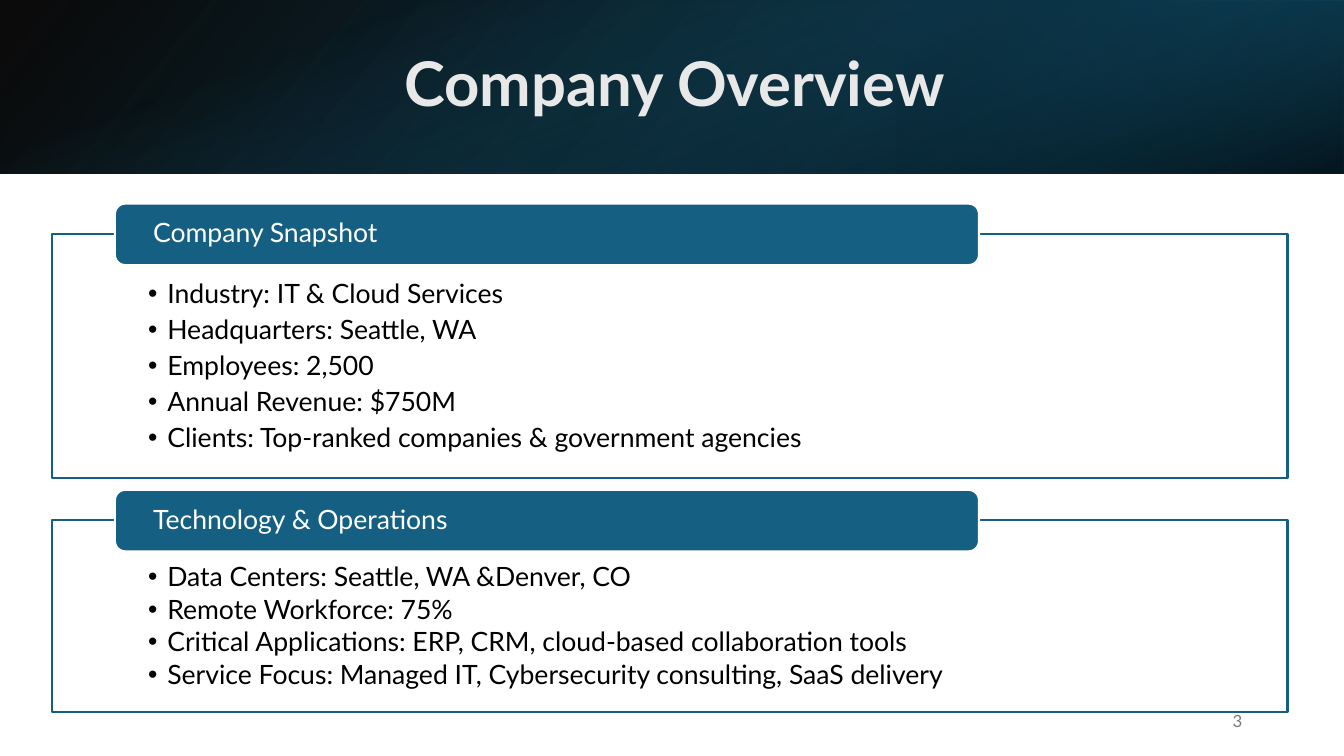
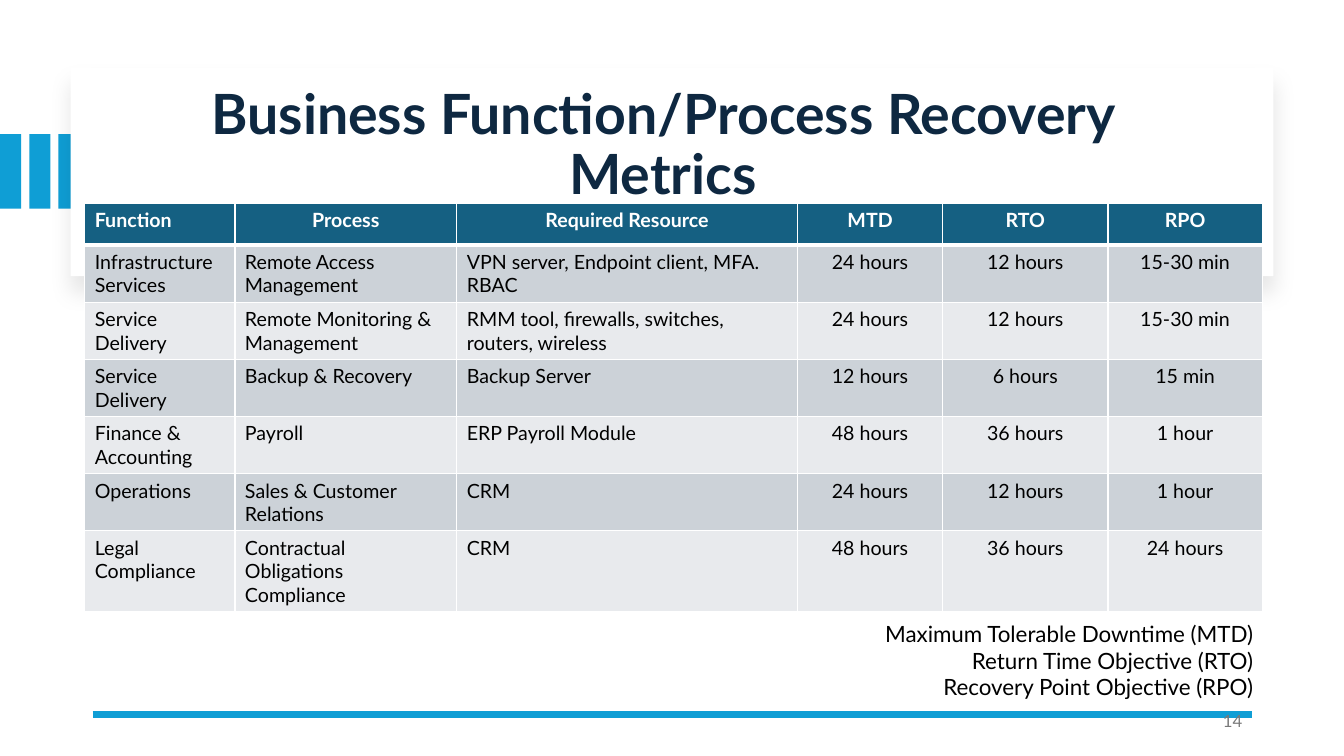
"""Build two continuity-plan slides: a company overview and recovery metrics."""
from pptx import Presentation
from pptx.dml.color import RGBColor
from pptx.enum.shapes import MSO_CONNECTOR, MSO_SHAPE
from pptx.enum.text import MSO_ANCHOR, MSO_AUTO_SIZE, PP_ALIGN
from pptx.oxml import parse_xml
from pptx.oxml.ns import nsdecls, qn
from pptx.util import Inches, Pt

RECT, ROUND = MSO_SHAPE.RECTANGLE, MSO_SHAPE.ROUNDED_RECTANGLE
LEFT, MID, RIGHT = PP_ALIGN.LEFT, PP_ALIGN.CENTER, PP_ALIGN.RIGHT
TOP, CENTER = MSO_ANCHOR.TOP, MSO_ANCHOR.MIDDLE
FIXED, LINE = MSO_AUTO_SIZE.NONE, MSO_CONNECTOR.STRAIGHT
FONT = "Lato"
HEX = {
    "white": "FFFFFF", "black": "000000", "teal": "156082", "deep": "104862",
    "dusk": "0B3041", "pale": "E8E8E8", "navy": "0E2841", "sky": "0F9ED5",
    "gray": "797979", "odd": "CCD2D8", "even": "E8EAED",
}
INSET = (0.1, 0.05, 0.1, 0.05)

BANDS = [
    ((0, 0, 13.33, 1.72), 0, True, 140,
     [(0, "black", 96), (100, "deep", 100)]),
    ((8.89, 0, 4.44, 1.72), 180, True, 320,
     [(19, "dusk", 68), (100, "teal", 79)]),
    ((5.8, -5.8, 1.72, 13.33), 90, False, 340,
     [(23, "teal", 0), (99, "black", 74)]),
]
PANELS = [
    ("Company Snapshot", 2.32, 2.42, 1.0, [
        "Industry: IT & Cloud Services",
        "Headquarters: Seattle, WA",
        "Employees: 2,500",
        "Annual Revenue: $750M",
        "Clients: Top-ranked companies & government agencies",
    ]),
    ("Technology & Operations", 5.16, 1.9, 0.9, [
        "Data Centers: Seattle, WA &Denver, CO",
        "Remote Workforce: 75%",
        "Critical Applications: ERP, CRM, cloud-based collaboration tools",
        "Service Focus: Managed IT, Cybersecurity consulting, SaaS delivery",
    ]),
]
COLS = [1.49, 2.2, 3.38, 1.44, 1.64, 1.53]
ROWS = [
    ("Function", "Process", "Required Resource", "MTD", "RTO", "RPO"),
    ("Infrastructure Services", "Remote Access Management",
     "VPN server, Endpoint client, MFA. RBAC",
     "24 hours", "12 hours", "15-30 min"),
    ("Service Delivery", "Remote Monitoring & Management",
     "RMM tool, firewalls, switches, routers, wireless",
     "24 hours", "12 hours", "15-30 min"),
    ("Service Delivery", "Backup & Recovery", "Backup Server",
     "12 hours", "6 hours", "15 min"),
    ("Finance & Accounting", "Payroll", "ERP Payroll Module",
     "48 hours", "36 hours", "1 hour"),
    ("Operations", "Sales & Customer Relations", "CRM",
     "24 hours", "12 hours", "1 hour"),
    ("Legal Compliance", "Contractual Obligations Compliance", "CRM",
     "48 hours", "36 hours", "24 hours"),
]
TERMS = [
    "Maximum Tolerable Downtime (MTD)",
    "Return Time Objective (RTO)",
    "Recovery Point Objective (RPO)",
]


def color(name):
    return RGBColor.from_string(HEX[name])


def place(shape, box):
    shape.left, shape.top, shape.width, shape.height = map(Inches, box)


def write(frame, lines, size, ink, align=LEFT, bold=False, space=1.0):
    for i, line in enumerate(lines):
        para = frame.add_paragraph() if i else frame.paragraphs[0]
        para.alignment, para.line_spacing = align, space
        para.space_before = para.space_after = Pt(0)
        run = para.add_run()
        run.text = line
        font = run.font
        font.name, font.size, font.bold = FONT, Pt(size), bold
        font.color.rgb = color(ink)


def setup(frame, anchor, inset=INSET):
    frame.word_wrap, frame.auto_size = True, FIXED
    frame.vertical_anchor = anchor
    (frame.margin_left, frame.margin_top,
     frame.margin_right, frame.margin_bottom) = map(Inches, inset)


def paint(shape, fill, edge=None):
    shape.fill.solid()
    shape.fill.fore_color.rgb = color(fill)
    if edge:
        shape.line.color.rgb = color(edge)
        shape.line.width = Pt(1.5)
    else:
        shape.line.fill.background()


def block(slide, box, fill, edge=None, kind=RECT):
    shape = slide.shapes.add_shape(kind, *map(Inches, box))
    shape.shadow.inherit = False
    paint(shape, fill, edge)
    return shape


def label(slide, box, lines, size, ink, anchor=TOP):
    frame = slide.shapes.add_textbox(*map(Inches, box)).text_frame
    setup(frame, anchor)
    write(frame, lines, size, ink, RIGHT)


def title(slide, box, text, size, ink):
    shape = slide.shapes.title
    place(shape, box)
    setup(shape.text_frame, CENTER)
    write(shape.text_frame, [text], size, ink, MID, True, 0.9)
    shape.element.getparent().append(shape.element)


def number(slide, text):
    label(slide, (9.42, 6.95, 3, 0.4), [text], 12, "gray", CENTER)


def band(slide, box, turn, flip, angle, stops):
    shape = block(slide, box, "black")
    shape.rotation = turn
    props = shape.element.spPr
    if flip:
        props.find(qn("a:xfrm")).set("flipH", "1")
    marks = "".join(
        f'<a:gs pos="{pos * 1000}"><a:srgbClr val="{HEX[name]}">'
        f'<a:alpha val="{alpha * 1000}"/></a:srgbClr></a:gs>'
        for pos, name, alpha in stops)
    grad = parse_xml(
        f'<a:gradFill {nsdecls("a")} rotWithShape="1"><a:gsLst>{marks}</a:gsLst>'
        f'<a:lin ang="{angle * 60000}" scaled="0"/></a:gradFill>')
    props.replace(props.find(qn("a:solidFill")), grad)


def panel(slide, body, name, top, high, space, items):
    place(body, (0.52, top, 12.25, high))
    paint(body, "white", "teal")
    setup(body.text_frame, TOP, (0.95, 0.43, 0.95, 0.15))
    write(body.text_frame, items, 19, "black", space=space)
    for para in body.text_frame.paragraphs:
        para.space_after = Pt(2.9)
        props = para._p.get_or_add_pPr()
        props.set("marL", str(Inches(0.19)))
        props.set("indent", str(-Inches(0.19)))
        props.append(parse_xml(f'<a:buChar {nsdecls("a")} char="•"/>'))
    tab = block(slide, (1.14, top - 0.3, 8.57, 0.61), "teal", "white", ROUND)
    setup(tab.text_frame, CENTER, (0.35, 0, 0.35, 0))
    write(tab.text_frame, [name], 19, "white", space=0.9)


def border(cell, row):
    props = cell._tc.get_or_add_tcPr()
    wide = {"T": 3 if row == 1 else 1, "B": 3 if row == 0 else 1}
    for i, side in enumerate("LRTB"):
        props.insert(i, parse_xml(
            f'<a:ln{side} {nsdecls("a")} w="{Pt(wide.get(side, 1))}"><a:solidFill>'
            f'<a:srgbClr val="{HEX["white"]}"/></a:solidFill></a:ln{side}>'))


def grid(slide):
    box = (0.84, 2.02, sum(COLS), 0.41 * len(ROWS))
    table = slide.shapes.add_table(
        len(ROWS), len(COLS), *map(Inches, box)).table
    for col, wide in zip(table.columns, COLS):
        col.width = Inches(wide)
    for r, row in enumerate(ROWS):
        head = r == 0
        fill = "teal" if head else "odd" if r % 2 else "even"
        for c, text in enumerate(row):
            cell = table.cell(r, c)
            cell.fill.solid()
            cell.fill.fore_color.rgb = color(fill)
            border(cell, r)
            align = MID if c > 2 or head and c else LEFT
            write(cell.text_frame, [text], 14,
                  "white" if head else "black", align, head)


def overview(deck):
    slide = deck.slides.add_slide(deck.slide_layouts[3])
    for item in BANDS:
        band(slide, *item)
    for i, item in enumerate(PANELS, 1):
        panel(slide, slide.placeholders[i], *item)
    title(slide, (0.95, 0.38, 11.48, 0.96), "Company Overview", 44, "pale")
    number(slide, "3")


def metrics(deck):
    slide = deck.slides.add_slide(deck.slide_layouts[5])
    for i in range(3):
        block(slide, (i * 0.29, 1.33, 0.21, 0.74), "sky")
    card = block(slide, (0.7, 0.67, 11.93, 2.07), "white")
    props = card.element.spPr
    props.replace(props.find(qn("a:effectLst")), parse_xml(
        f'<a:effectLst {nsdecls("a")}><a:outerShdw blurRad="{Pt(15)}" '
        f'dist="{Pt(11)}" dir="5400000"><a:srgbClr val="{HEX["black"]}">'
        '<a:alpha val="10000"/></a:srgbClr></a:outerShdw></a:effectLst>'))
    title(slide, (1.14, 0.89, 10.87, 1.13),
          "Business Function/Process Recovery Metrics", 39.6, "navy")
    grid(slide)
    rule = slide.shapes.add_connector(
        LINE, *map(Inches, (0.92, 7.09, 12.42, 7.09)))
    rule.line.color.rgb = color("sky")
    rule.line.width = Pt(4.5)
    rule.element.spPr.append(parse_xml(f'<a:effectLst {nsdecls("a")}/>'))
    label(slide, (0.7, 6.1, 11.83, 1.25), TERMS, 16, "black")
    number(slide, "14")


def main():
    deck = Presentation()
    deck.slide_width, deck.slide_height = Inches(13.33), Inches(7.5)
    overview(deck)
    metrics(deck)
    deck.save("out.pptx")


if __name__ == "__main__":
    main()
